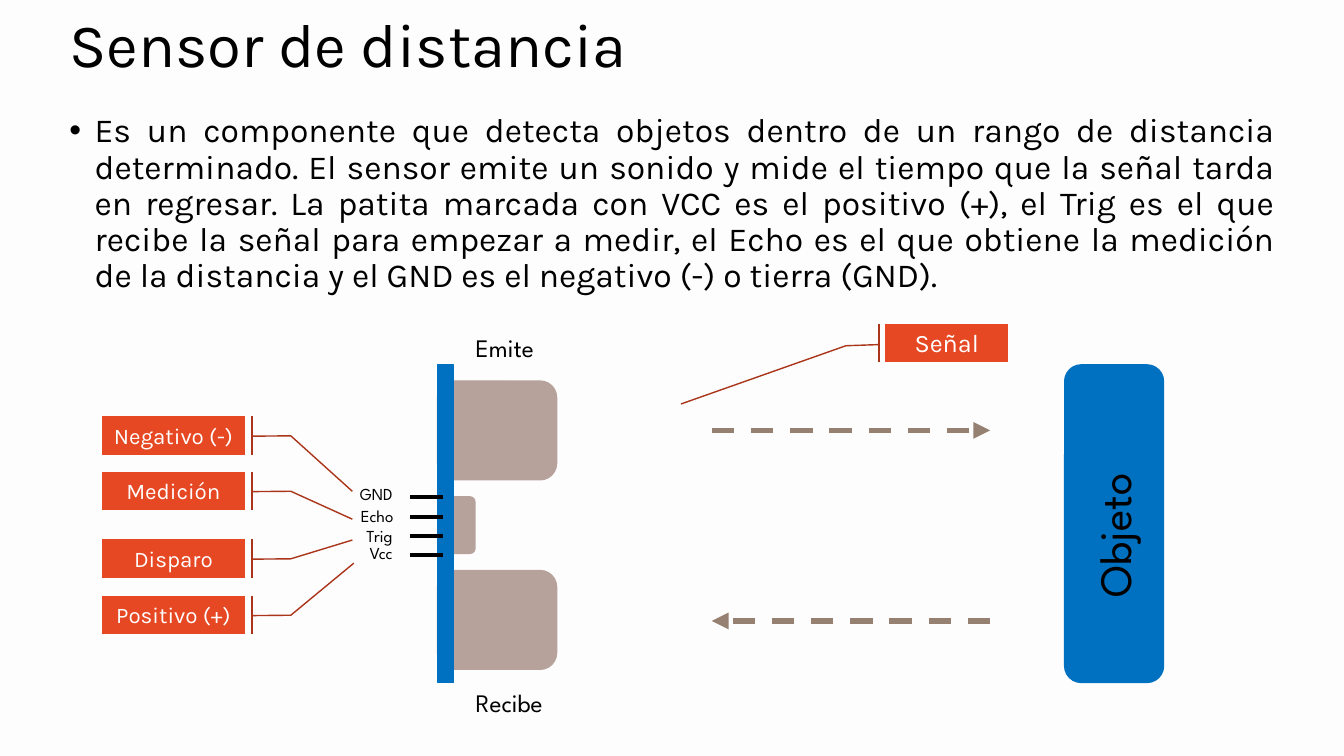
from lxml.etree import SubElement
from pptx import Presentation
from pptx.dml.color import RGBColor
from pptx.enum.dml import MSO_LINE
from pptx.enum.shapes import MSO_CONNECTOR, MSO_SHAPE
from pptx.enum.text import MSO_ANCHOR, MSO_AUTO_SIZE, PP_ALIGN
from pptx.oxml.ns import qn
from pptx.util import Inches, Pt

COLORS = {
    "back": "FDFDFD", "ink": "000000", "white": "FFFFFF", "blue": "0070C0",
    "taupe": "B6A29A", "wave": "968071", "red": "E64823", "edge": "AA351A",
}
KARLA, SPARTAN = "Karla", "League Spartan"


def color(name):
    return RGBColor.from_string(COLORS[name])


def style(para, size, face, tint="ink", align=None):
    para.alignment = align
    para.font.size = Pt(size)
    para.font.name = face
    para.font.color.rgb = color(tint)


def add_text(slide, box, text, wrap=True):
    shape = slide.shapes.add_textbox(*map(Inches, box))
    frame = shape.text_frame
    frame.word_wrap = wrap
    if not wrap:
        frame.auto_size = MSO_AUTO_SIZE.SHAPE_TO_FIT_TEXT
    frame.text = text
    return shape


def add_label(slide, box, text, size, align=None):
    shape = add_text(slide, box, text, wrap=False)
    style(shape.text_frame.paragraphs[0], size, SPARTAN, align=align)
    return shape


def add_block(slide, kind, box, fill, edge):
    shape = slide.shapes.add_shape(kind, *map(Inches, box))
    shape.shadow.inherit = False
    shape.fill.solid()
    shape.fill.fore_color.rgb = color(fill)
    shape.line.color.rgb = color(edge)
    shape.line.width = Pt(1)
    return shape


def add_line(slide, start, end, tint, width):
    line = slide.shapes.add_connector(
        MSO_CONNECTOR.STRAIGHT, *map(Inches, (*start, *end)))
    line.line.color.rgb = color(tint)
    line.line.width = Pt(width)
    SubElement(line._element.spPr, qn("a:effectLst"))
    return line


def add_arrow(slide, start, end):
    line = add_line(slide, start, end, "wave", 4).line
    line.dash_style = MSO_LINE.DASH
    SubElement(line._get_or_add_ln(), qn("a:tailEnd"), type="triangle")


def add_callout(slide, box, text, size, bends):
    shape = add_block(
        slide, MSO_SHAPE.LINE_CALLOUT_2_ACCENT_BAR, box, "red", "edge")
    for i, bend in enumerate(bends):
        shape.adjustments[i] = bend
    frame = shape.text_frame
    frame.vertical_anchor = MSO_ANCHOR.MIDDLE
    frame.text = text
    style(frame.paragraphs[0], size, KARLA, "white", PP_ALIGN.CENTER)


def add_title(slide, box, text):
    frame = add_text(slide, box, text).text_frame
    frame.vertical_anchor = MSO_ANCHOR.MIDDLE
    para = frame.paragraphs[0]
    para.line_spacing = 0.9
    style(para, 44, KARLA)


def add_body(slide, box, text):
    para = add_text(slide, box, text).text_frame.paragraphs[0]
    para.line_spacing = 0.9
    props = para._p.get_or_add_pPr()
    props.set("marL", str(Inches(0.25)))
    props.set("indent", str(-Inches(0.25)))
    SubElement(props, qn("a:buFont"), typeface="Arial")
    SubElement(props, qn("a:buChar"), char="•")
    style(para, 24, KARLA, align=PP_ALIGN.JUSTIFY)


def add_waves(slide, box):
    left, top, width, height = box
    right, low = left + width, top + height
    add_arrow(slide, (left, top), (right, top))
    add_arrow(slide, (right, low), (left, low))
    add_callout(slide, (left + 1.72, top - 1.06, 1.22, 0.38), "Señal", 18,
                (0.55, -0.05, 0.58, -0.32, 2.1, -1.66))


def add_target(slide, box):
    left, top, width, height = box
    add_block(slide, MSO_SHAPE.ROUNDED_RECTANGLE, box, "blue", "blue")
    label = add_label(
        slide, (left - 0.34, top + 1.26, 1.66, 0.64), "Objeto", 32)
    label.rotation = 270


def add_sensor(slide, box):
    left, top, width, height = box
    # Emitter and receiver
    add_label(slide, (left + 0.28, top - 0.37, 0.9, 0.4), "Emite", 18)
    add_label(slide, (left + 0.28, top + height, 1.06, 0.4), "Recibe", 18)
    for x, y, w, h in ((0, 0.16, width, 0.98), (0, 2.04, width, 0.98),
                       (0.08, 1.31, 0.29, 0.56)):
        add_block(slide, MSO_SHAPE.ROUNDED_RECTANGLE,
                  (left + x, top + y, w, h), "taupe", "taupe")
    # Board
    add_block(slide, MSO_SHAPE.RECTANGLE, (left, top, 0.16, height),
              "blue", "blue")
    # Pins: name, pin height, label box, alignment
    pins = (
        ("GND", 1.31, (-0.87, 1.13, 0.59, 0.3), None),
        ("Echo", 1.51, (-0.86, 1.35, 0.61, 0.3), None),
        ("Trig", 1.7, (-0.84, 1.55, 0.53, 0.3), PP_ALIGN.CENTER),
        ("Vcc", 1.89, (-0.82, 1.72, 0.52, 0.3), PP_ALIGN.CENTER),
    )
    for name, pin, (x, y, w, h), align in pins:
        add_line(slide, (left - 0.27, top + pin), (left + 0.05, top + pin),
                 "ink", 3)
        add_label(slide, (left + x, top + y, w, h), name, 12, align)


def add_tags(slide, box):
    left, top, width, height = box
    # Tag text, offset from the top, end of the leader
    tags = (
        ("Negativo (-)", 0, 1.96, 1.75),
        ("Medición", 0.55, 1.24, 1.75),
        ("Disparo", 1.22, 0.02, 1.75),
        ("Positivo (+)", 1.78, -0.85, 1.76),
    )
    for text, drop, end_y, end_x in tags:
        add_callout(slide, (left, top + drop, width, height), text, 16,
                    (0.52, 1.05, 0.51, 1.32, end_y, end_x))


def main():
    deck = Presentation()
    deck.slide_width, deck.slide_height = Inches(13.33), Inches(7.5)
    slide = deck.slides.add_slide(deck.slide_layouts[6])
    slide.background.fill.solid()
    slide.background.fill.fore_color.rgb = color("back")

    add_title(slide, (0.59, 0.05, 12.15, 0.84), "Sensor de distancia")
    add_body(slide, (0.59, 1.08, 12.15, 5.83), (
        "Es un componente que detecta objetos dentro de un rango de distancia "
        "determinado. El sensor emite un sonido y mide el tiempo que la señal "
        "tarda en regresar. La patita marcada con VCC es el positivo (+), el "
        "Trig es el que recibe la señal para empezar a medir, el Echo es el "
        "que obtiene la medición de la distancia y el GND es el negativo (-) "
        "o tierra (GND)."))
    add_waves(slide, (7.06, 4.27, 2.76, 1.89))
    add_target(slide, (10.56, 3.62, 0.98, 3.15))
    add_sensor(slide, (4.34, 3.62, 1.18, 3.15))
    add_tags(slide, (1.01, 4.13, 1.42, 0.38))
    deck.save("out.pptx")


if __name__ == "__main__":
    main()
